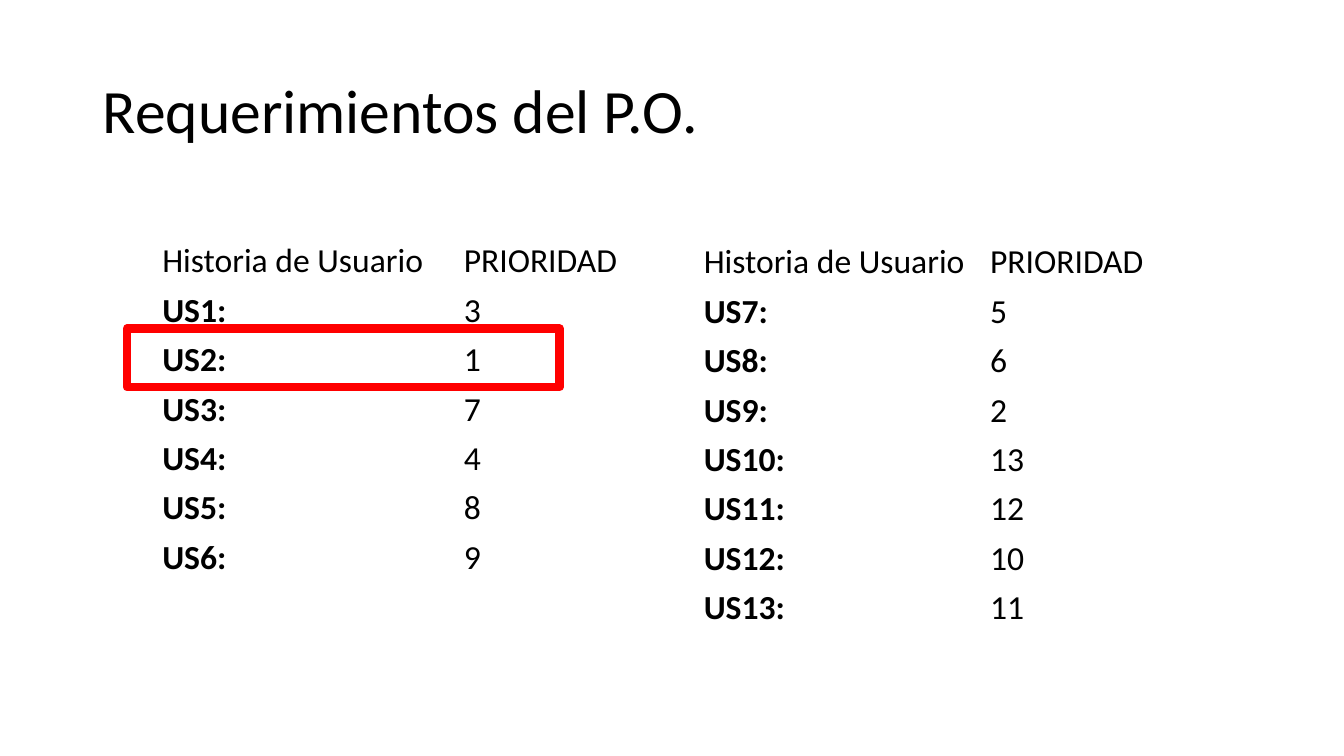
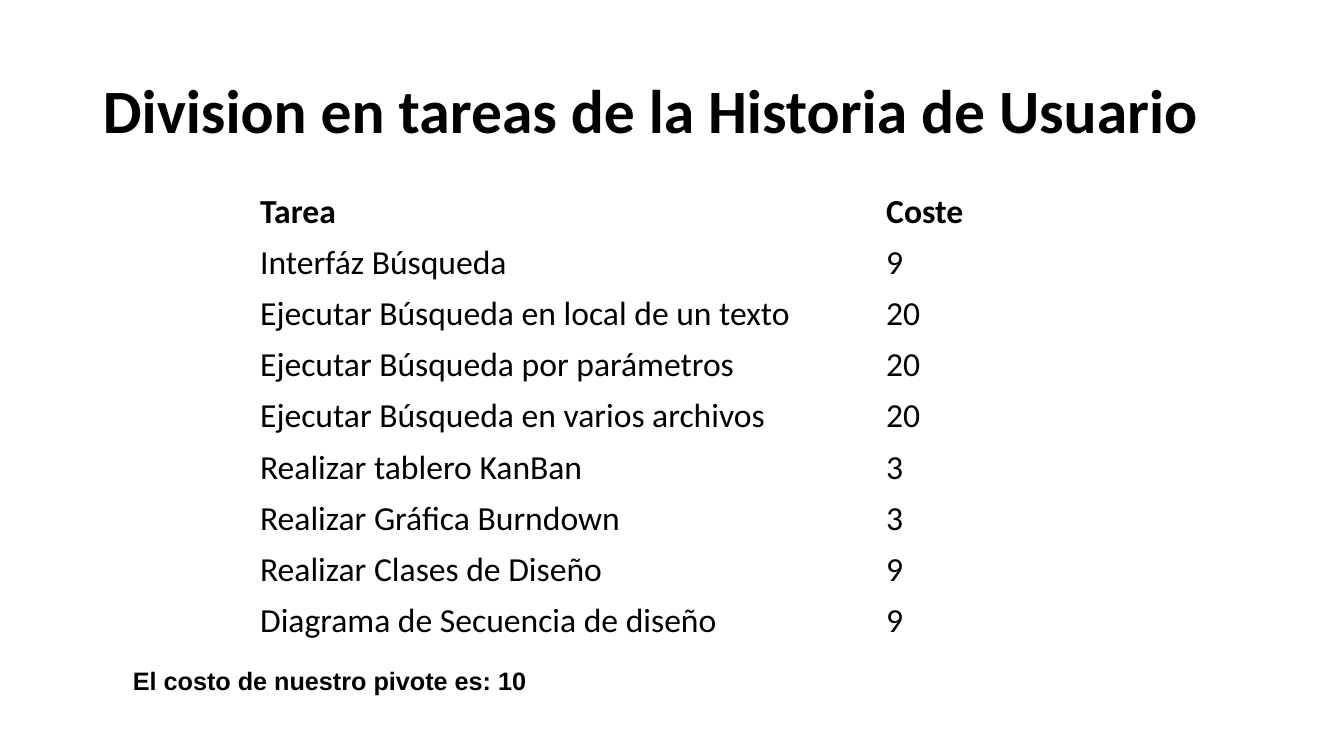
"""Build two slides: prioritised user stories and the tasks of one story."""
import pptx
import pptx.util
import pptx.dml.color
import pptx.enum.shapes
import pptx.enum.text

Inches = pptx.util.Inches
Pt = pptx.util.Pt
MIDDLE = pptx.enum.text.MSO_ANCHOR.MIDDLE
LEFT = pptx.enum.text.PP_ALIGN.LEFT

BLACK, RED = "000000", "FF0000"
FONT, NOTE_FONT = "Calibri", "Arial"

HEAD = ("Historia de Usuario", "PRIORIDAD")
FIRST = [HEAD, ("US1:", "3"), ("US2:", "1"), ("US3:", "7"),
         ("US4:", "4"), ("US5:", "8"), ("US6:", "9")]
SECOND = [HEAD, ("US7:", "5"), ("US8:", "6"), ("US9:", "2"), ("US10:", "13"),
          ("US11:", "12"), ("US12:", "10"), ("US13:", "11")]
TASKS = [("Tarea", "Coste"),
         ("Interfáz Búsqueda", "9"),
         ("Ejecutar Búsqueda en local de un texto", "20"),
         ("Ejecutar Búsqueda por parámetros", "20"),
         ("Ejecutar Búsqueda en varios archivos", "20"),
         ("Realizar tablero KanBan", "3"),
         ("Realizar Gráfica Burndown", "3"),
         ("Realizar Clases de Diseño", "9"),
         ("Diagrama de Secuencia de diseño", "9")]


def color(code):
    return pptx.dml.color.RGBColor.from_string(code)


def style(par, size, bold=False, face=FONT):
    par.alignment = LEFT
    par.font.name = face
    par.font.size = Pt(size)
    par.font.bold = bold
    par.font.color.rgb = color(BLACK)


def add_slide(deck, text, bold=False):
    slide = deck.slides.add_slide(deck.slide_layouts[5])
    title = slide.shapes.title
    title.left, title.top = Inches(0.92), Inches(0.4)
    title.width, title.height = Inches(11.5), Inches(1.45)
    frame = title.text_frame
    frame.text = text
    frame.auto_size = pptx.enum.text.MSO_AUTO_SIZE.NONE
    frame.vertical_anchor = MIDDLE
    par = frame.paragraphs[0]
    par.line_spacing = 0.9
    style(par, 44, bold)
    return slide


def add_grid(slide, rows, left, top, widths, pitch, pads, is_bold):
    table = slide.shapes.add_table(
        len(rows), len(widths), Inches(left), Inches(top),
        Inches(sum(widths)), Inches(pitch * len(rows))).table
    table.first_row = table.horz_banding = False
    for col, width in zip(table.columns, widths):
        col.width = Inches(width)
    side, edge = map(Inches, pads)
    for r, row in enumerate(rows):
        for c, text in enumerate(row):
            cell = table.cell(r, c)
            cell.text = text
            cell.fill.background()
            cell.vertical_anchor = MIDDLE
            cell.margin_left = cell.margin_right = side
            cell.margin_top = cell.margin_bottom = edge
            style(cell.text_frame.paragraphs[0], 24, is_bold(r, c))


def add_frame(slide, left, top, width, height):
    box = slide.shapes.add_shape(
        pptx.enum.shapes.MSO_SHAPE.RECTANGLE,
        Inches(left), Inches(top), Inches(width), Inches(height))
    box.shadow.inherit = False
    box.fill.background()
    box.line.color.rgb = color(RED)
    box.line.width = Pt(6)


def add_note(slide, text, left, top, width, height):
    box = slide.shapes.add_textbox(
        Inches(left), Inches(top), Inches(width), Inches(height))
    frame = box.text_frame
    frame.text = text
    frame.word_wrap = False
    frame.auto_size = pptx.enum.text.MSO_AUTO_SIZE.SHAPE_TO_FIT_TEXT
    frame.vertical_anchor = MIDDLE
    style(frame.paragraphs[0], 18, True, NOTE_FONT)


def main():
    deck = pptx.Presentation()
    deck.slide_width, deck.slide_height = Inches(13.33), Inches(7.5)

    slide = add_slide(deck, "Requerimientos del P.O.")
    for rows, left, top, widths in ((FIRST, 1.53, 2.35, (2.99, 2.3)),
                                    (SECOND, 6.9, 2.36, (2.84, 1.71))):
        add_grid(slide, rows, left, top, widths, 0.49, (0.08, 0.04),
                 lambda r, c: r > 0 and c == 0)
    add_frame(slide, 1.26, 3.26, 4.29, 0.58)

    slide = add_slide(deck, "Division en tareas de la Historia de Usuario", True)
    add_grid(slide, TASKS, 2.48, 1.85, (6.21, 1.1), 0.5, (0.1, 0.05),
             lambda r, c: r == 0)
    add_note(slide, "El costo de nuestro pivote es: 10", 1.22, 6.55, 4.14, 0.4)

    deck.save("out.pptx")


if __name__ == "__main__":
    main()
